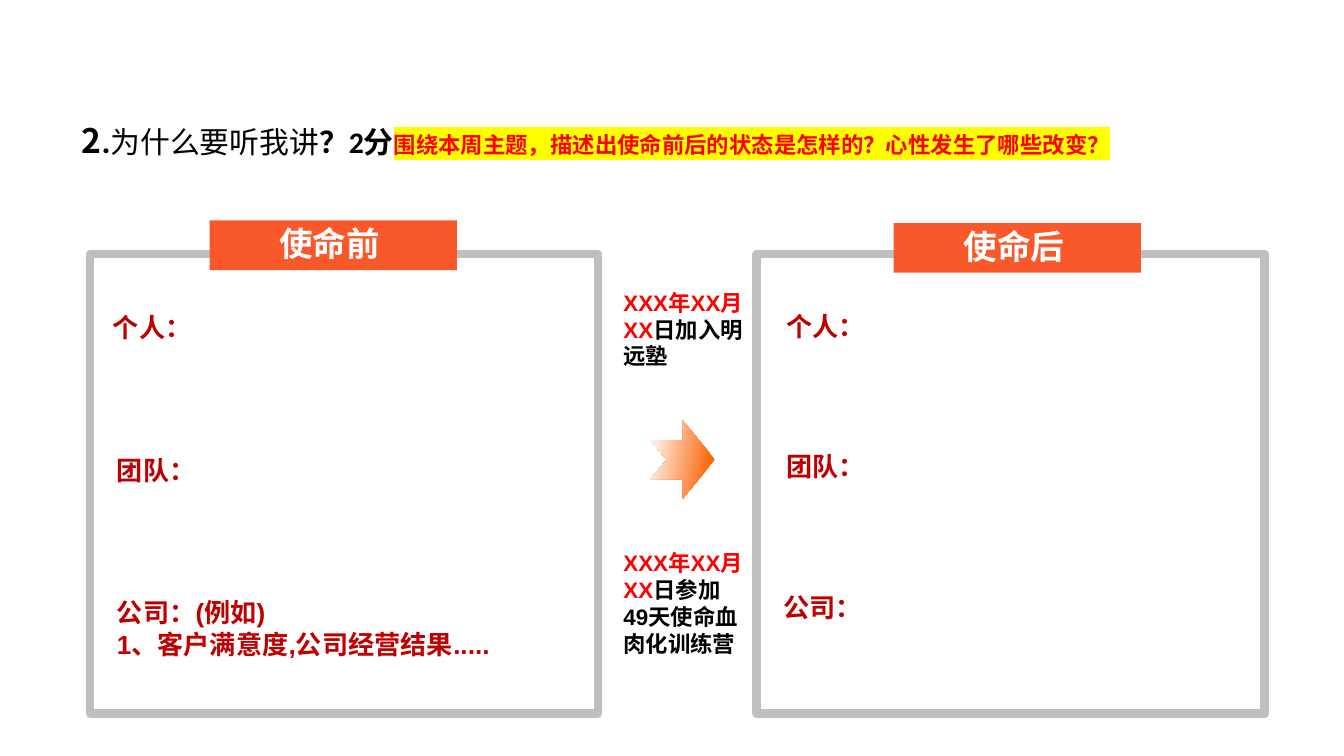
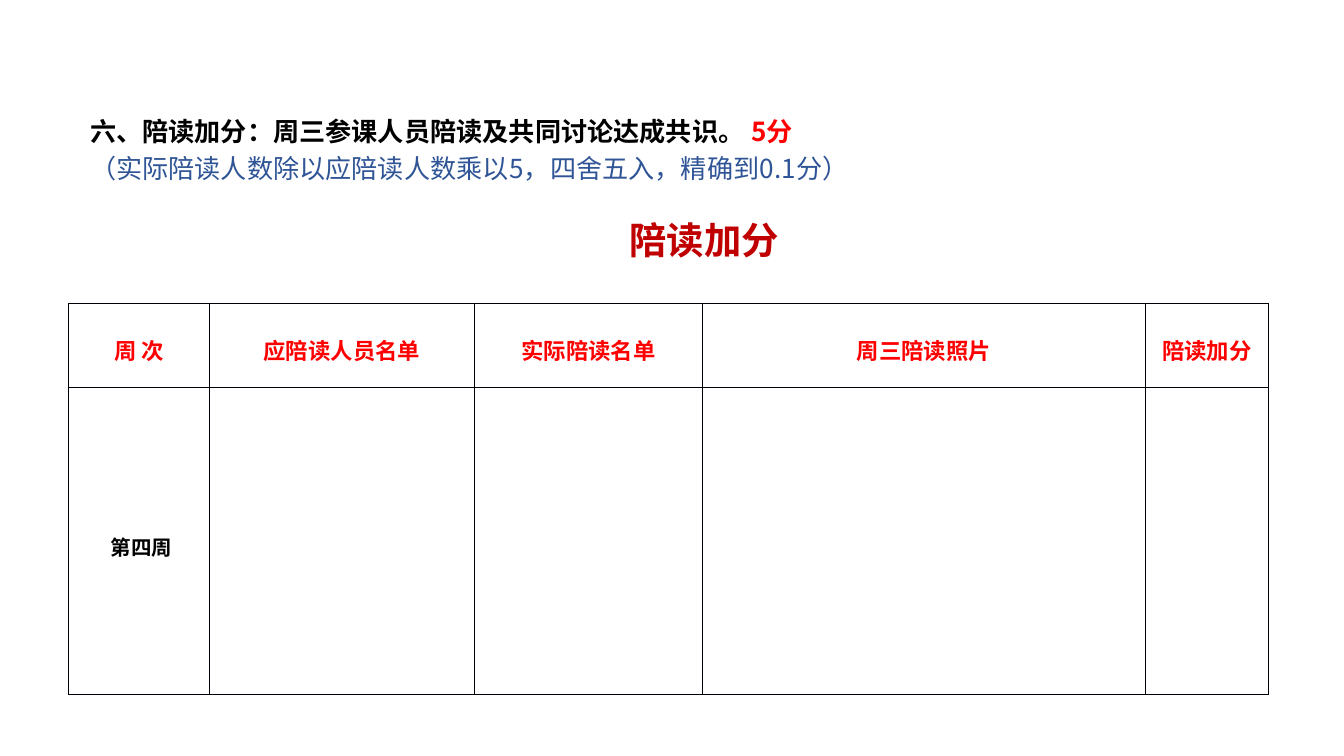
"""Builds two slides: a before-and-after comparison and a reading bonus table."""
import lxml.etree
import pptx
import pptx.dml.color
import pptx.enum.shapes
import pptx.enum.text
import pptx.oxml.ns
import pptx.util

Inches = pptx.util.Inches
Pt = pptx.util.Pt
RGBColor = pptx.dml.color.RGBColor
MSO_SHAPE = pptx.enum.shapes.MSO_SHAPE
ALIGN = pptx.enum.text.PP_ALIGN
qn = pptx.oxml.ns.qn

BLACK = RGBColor(0, 0, 0)
WHITE = RGBColor(255, 255, 255)
RED = RGBColor(255, 0, 0)
DARK = RGBColor(0xC0, 0, 0)
BLUE = RGBColor(0x2F, 0x55, 0x97)
GRAY = RGBColor(0xBF, 0xBF, 0xBF)
CORAL = RGBColor(0xF9, 0x59, 0x2A)
AMBER = RGBColor(0xF9, 0x68, 0x0D)
YELLOW = RGBColor(255, 255, 0)
EDGE = RGBColor(0, 0, 8)
HAN = "Noto Sans CJK SC"
ARIAL = "Arial"
CALIBRI = "Calibri"
TIGHT = 0.05

HEAD = [
    ("2", 18, HAN, BLACK, True),
    (".", 18, CALIBRI, BLACK, True),
    ("为什么要听我讲", 16, ARIAL, BLACK, False),
    ("？2分", 16, CALIBRI, BLACK, True),
    ("围绕本周主题，描述出使命前后的状态是怎样的？心性发生了哪些改变？",
     12, CALIBRI, RED, True),
]
PANELS = [
    (0.67, "使命前", 1.56, 1.64, [
        (0.79, 2.27, 3.54, 0.33, ["个人："]),
        (0.82, 3.33, 3.58, 0.33, ["团队："]),
        (0.82, 4.39, 3.54, 0.8, ["公司：(例如)", "1、客户满意度,公司经营结果....."]),
    ]),
    (5.63, "使命后", 6.65, 1.66, [
        (5.8, 2.26, 3.61, 0.33, ["个人："]),
        (5.8, 3.3, 3.54, 0.33, ["团队："]),
        (5.78, 4.35, 3.54, 0.33, ["公司："]),
    ]),
]
DATE = "XXX年XX月XX"
EVENTS = [
    (4.04, 1.11, "日参加49天使命血肉化训练营"),
    (2.1, 0.71, "日加入明远塾"),
]

BONUS = "陪读加分"
RULES = [
    [("六、陪读加分：周三参课人员陪读及共同讨论达成共识。", 14, HAN, BLACK, True),
     (" 5分", 14, HAN, RED, True)],
    [("（实际陪读人数除以应陪读人数乘以5，四舍五入，精确到0.1分）",
      14, HAN, BLUE, False)],
]
COLS = [("周 次", 1.05), ("应陪读人员名单", 1.97), ("实际陪读名单", 1.7),
        ("周三陪读照片", 3.29), (BONUS, 0.92)]
ROWS = [0.62, 2.29]
WEEK = [(" ", 12, HAN, BLACK, True), ("第四周", 11, HAN, BLACK, True)]


def dress(font, size, name, color, bold):
    """Set size, typefaces, colour and weight of a font."""
    font.size = Pt(size)
    font.bold = bold
    font.color.rgb = color
    font.name = name
    east = lxml.etree.Element(qn("a:ea"), typeface=HAN)
    font._rPr.find(qn("a:latin")).addnext(east)


def write(para, runs):
    """Fill a paragraph with runs of (text, size, font, colour, bold)."""
    if len(runs) == 1:
        dress(para.font, *runs[0][1:])
    for text, *look in runs:
        run = para.add_run()
        run.text = text
        if len(runs) > 1:
            dress(run.font, *look)


def add_text(shapes, box, lines, inset=None, grow=True):
    """Add a wrapped text box and return its paragraphs."""
    frame = shapes.add_textbox(*map(Inches, box)).text_frame
    frame.word_wrap = True
    if grow:
        frame.auto_size = pptx.enum.text.MSO_AUTO_SIZE.SHAPE_TO_FIT_TEXT
    if inset is not None:
        frame.margin_left = frame.margin_right = Inches(inset)
        frame.margin_top = frame.margin_bottom = Inches(inset)
    for n, runs in enumerate(lines):
        write(frame.add_paragraph() if n else frame.paragraphs[0], runs)
    return frame.paragraphs


def add_box(shapes, kind, box):
    """Add a preset shape with neither shadow, fill nor line."""
    shape = shapes.add_shape(kind, *map(Inches, box))
    shape.shadow.inherit = False
    shape.fill.background()
    shape.line.fill.background()
    return shape


def add_panel(shapes, left, label, tab, top, notes):
    """Add a framed panel with its banner and notes."""
    frame = add_box(shapes, MSO_SHAPE.RECTANGLE, (left, 1.89, 3.78, 3.42))
    frame.line.color.rgb = GRAY
    frame.line.width = Pt(4.5)
    group = shapes.add_group_shape().shapes
    band = add_box(group, MSO_SHAPE.RECTANGLE, (tab, top, 1.84, 0.37))
    band.fill.solid()
    band.fill.fore_color.rgb = CORAL
    add_text(group, (tab + 0.42, top - 0.03, 1.49, 0.4),
             [[(label, 18, HAN, WHITE, True)]])
    for *box, lines in notes:
        add_text(shapes, box,
                 [[(line, 14, ARIAL, DARK, True)] for line in lines], TIGHT)


def add_arrow(shapes):
    """Add the gradient arrow between the panels."""
    arrow = add_box(shapes, MSO_SHAPE.NOTCHED_RIGHT_ARROW, (4.84, 3.13, 0.48, 0.58))
    arrow._element.spPr.xfrm.set("flipV", "1")
    arrow.fill.gradient()
    arrow.fill.gradient_angle = 190
    for stop, color, place in zip(arrow.fill.gradient_stops,
                                  (AMBER, WHITE), (0.14, 1)):
        stop.color.rgb = color
        stop.position = place


def mark(run, color):
    """Highlight a run."""
    light = lxml.etree.Element(qn("a:highlight"))
    lxml.etree.SubElement(light, qn("a:srgbClr"), val=str(color))
    run.font._rPr.find(qn("a:solidFill")).addnext(light)


def indent(para, space):
    """Indent the first line and set the line spacing."""
    props = para._p.get_or_add_pPr()
    props.set("marL", "0")
    props.set("indent", str(Inches(0.42)))
    para.line_spacing = space


def set_cell(cell, runs):
    """Give a table cell its borders, margins and centred text."""
    props = cell._tc.get_or_add_tcPr()
    for side in ("lnL", "lnR", "lnT", "lnB"):
        line = lxml.etree.SubElement(props, qn("a:" + side), w=str(Pt(0.5)))
        fill = lxml.etree.SubElement(line, qn("a:solidFill"))
        lxml.etree.SubElement(fill, qn("a:srgbClr"), val=str(EDGE))
    cell.fill.background()
    cell.margin_left = cell.margin_right = Inches(0.07)
    cell.margin_top = cell.margin_bottom = 0
    cell.vertical_anchor = pptx.enum.text.MSO_ANCHOR.MIDDLE
    if runs:
        para = cell.text_frame.paragraphs[0]
        para.alignment = ALIGN.CENTER
        para.line_spacing = 1.3
        write(para, runs)


def add_grid(shapes):
    """Add the bonus table."""
    wide = sum(width for _, width in COLS)
    grid = shapes.add_table(len(ROWS), len(COLS), Inches(0.51), Inches(2.26),
                            Inches(wide), Inches(sum(ROWS))).table
    grid.first_row = False
    grid.horz_banding = False
    for row, high in zip(grid.rows, ROWS):
        row.height = Inches(high)
    for n, (name, width) in enumerate(COLS):
        grid.columns[n].width = Inches(width)
        set_cell(grid.cell(0, n), [(name, 12, HAN, RED, True)])
        set_cell(grid.cell(1, n), [] if n else WEEK)


def main():
    """Build and save both slides."""
    deck = pptx.Presentation()
    deck.slide_width = Inches(10)
    deck.slide_height = Inches(10) * 9 // 16
    blank = deck.slide_layouts[6]

    shapes = deck.slides.add_slide(blank).shapes
    for panel in PANELS:
        add_panel(shapes, *panel)
    add_arrow(shapes)
    for top, high, event in EVENTS:
        add_text(shapes, (4.54, top, 1.09, high),
                 [[(DATE, 12, ARIAL, RED, True), (event, 12, ARIAL, BLACK, True)]])
    title = add_text(shapes, (0.51, 0.84, 9.14, 0.61), [HEAD], grow=False)[0]
    mark(title.runs[-1], YELLOW)

    shapes = deck.slides.add_slide(blank).shapes
    name = add_text(shapes, (0.05, 1.4, 9.96, 0.6),
                    [[(BONUS, 20, HAN, DARK, True)]], TIGHT)[0]
    name.alignment = ALIGN.CENTER
    indent(name, 1.5)
    for para in add_text(shapes, (0.2, 0.76, 9.26, 0.66), RULES, TIGHT):
        indent(para, 1.2)
    add_grid(shapes)
    deck.save("out.pptx")


if __name__ == "__main__":
    main()
